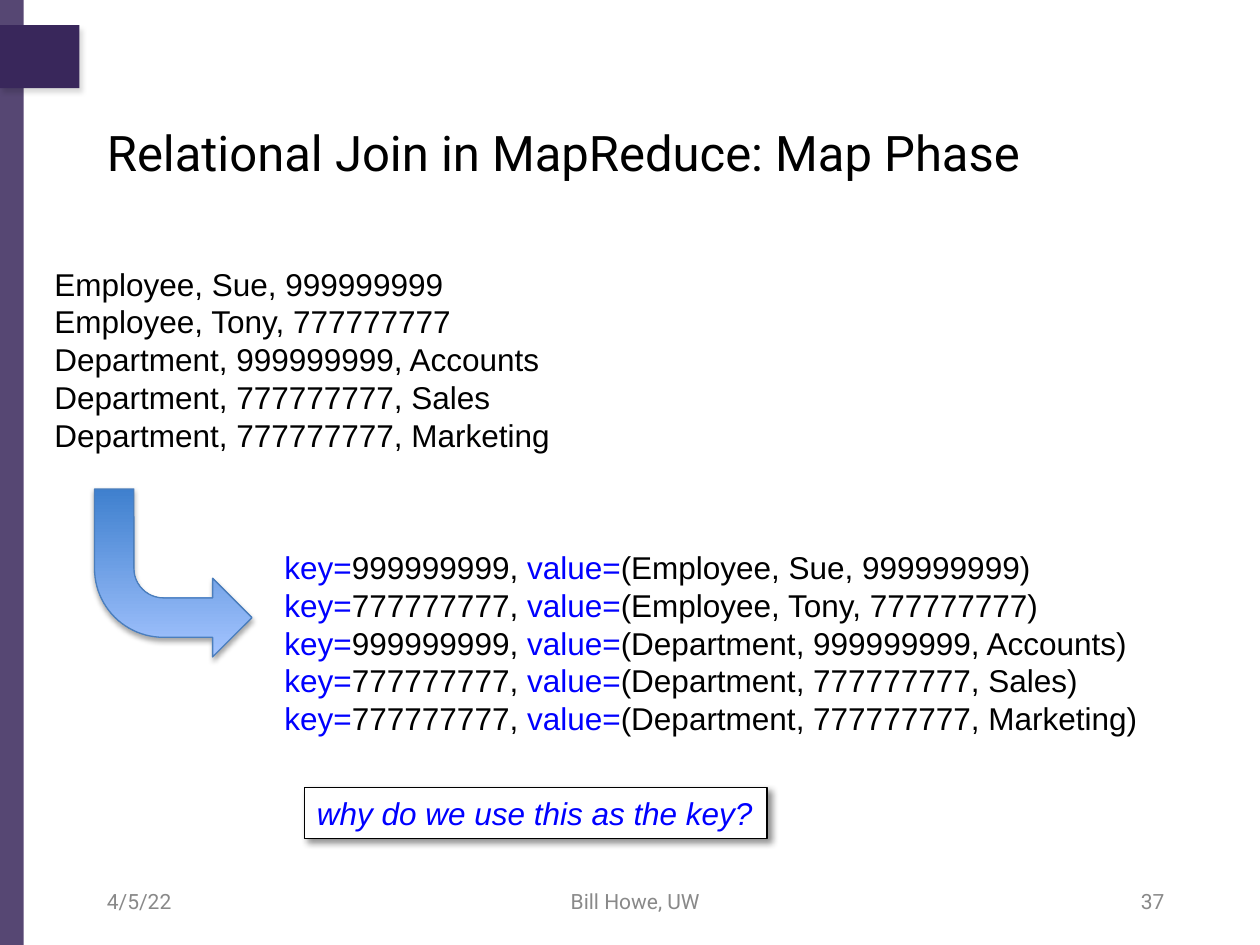
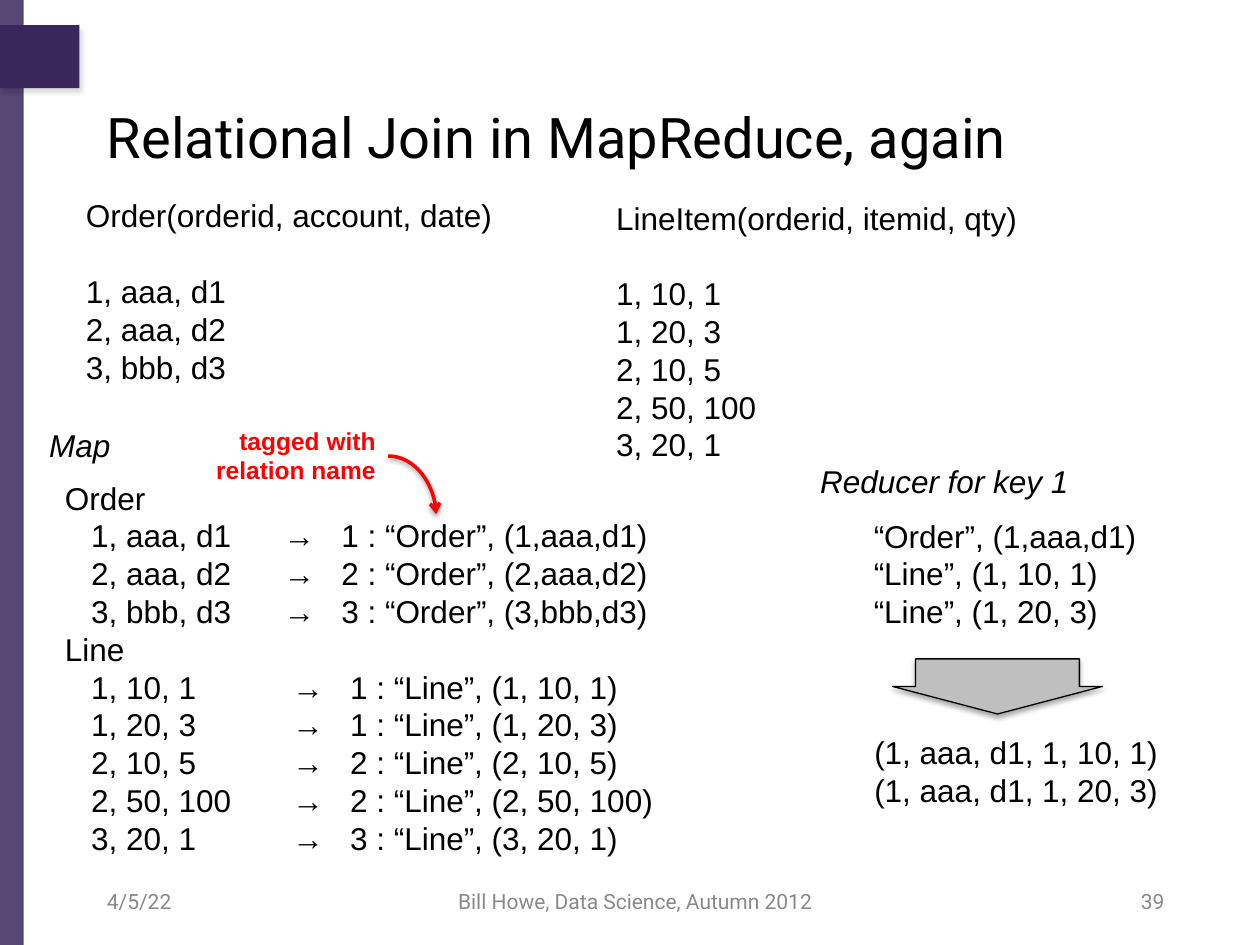
from lxml.etree import SubElement as Sub
from pptx import Presentation
from pptx.dml.color import RGBColor as RGB
from pptx.enum.shapes import MSO_CONNECTOR as Conn, MSO_SHAPE as Geo
from pptx.enum.text import MSO_ANCHOR as Anchor, PP_ALIGN as Align
from pptx.oxml.ns import qn
from pptx.util import Pt

# Shared look
HUE = {"band": "39275B", "ink": "000000", "gray": "898989", "blue": "0000FF",
       "red": "FF0000", "paper": "FFFFFF", "steel": "BFBFBF",
       "deep": "3F80CE", "pale": "A4C4FF", "edge": "4B7EBC"}
SOFT = (35, 3.1, 1.8, 90)  # shadow: opacity, blur, distance, angle
SIDES = (Align.LEFT, Align.CENTER, Align.RIGHT)
FOOT_X = ((54, 168), (249, 228), (504.5, 168))

# Content
DATE = "4/5/22"
FACTS = ["Employee, Sue, 999999999", "Employee, Tony, 777777777",
         "Department, 999999999, Accounts", "Department, 777777777, Sales",
         "Department, 777777777, Marketing"]
ORDERS = ["1, aaa, d1", "2, aaa, d2", "3, bbb, d3"]
LINES = ["1, 10, 1", "1, 20, 3", "2, 10, 5", "2, 50, 100", "3, 20, 1"]
# Each group: tag, rows, separator in the value, tab stops
GROUPS = [("Order", ORDERS, ",", (15, 125, 158)),
          ("Line", LINES, ", ", (15, 130, 163))]
INPUT = ["“Order”, (1,aaa,d1)", "“Line”, (1, 10, 1)", "“Line”, (1, 20, 3)"]
OUTPUT = ["(1, aaa, d1, 1, 10, 1)", "(1, aaa, d1, 1, 20, 3)"]


def rgb(name):
    return RGB.from_string(HUE[name])


def shade(item, alpha, blur, dist, angle):
    """Give a shape or connector an outer shadow."""
    props = item._element.spPr
    for old in props.findall(qn("a:effectLst")):
        props.remove(old)
    cast = Sub(Sub(props, qn("a:effectLst")), qn("a:outerShdw"),
               blurRad=str(Pt(blur)), dist=str(Pt(dist)),
               dir=str(angle * 60000), algn="ctr", rotWithShape="0")
    tone = Sub(cast, qn("a:srgbClr"), val=HUE["ink"])
    Sub(tone, qn("a:alpha"), val=str(alpha * 1000))


def paint(item, fill=None, line=None, width=0.75, shadow=None):
    if fill:
        item.fill.solid()
        item.fill.fore_color.rgb = rgb(fill)
    if line:
        item.line.color.rgb = rgb(line)
        item.line.width = Pt(width)
    else:
        item.line.fill.background()
    if shadow:
        shade(item, *shadow)


def shape(slide, geo, box, **look):
    item = slide.shapes.add_shape(geo, *map(Pt, box))
    item.shadow.inherit = False
    paint(item, **look)
    return item


def text(slide, box, paras, font="Arial", size=18, color="ink", bold=False,
         italic=False, align=Align.LEFT, anchor=Anchor.TOP, wrap=True,
         skip=None, tabs=None):
    """Paragraphs are strings or lists of (text, color); skip leaves a line free."""
    item = slide.shapes.add_textbox(*map(Pt, box))
    frame = item.text_frame
    frame.word_wrap = wrap
    frame.vertical_anchor = anchor
    for n, para in enumerate(paras):
        p = frame.add_paragraph() if n else frame.paragraphs[0]
        p.alignment = align
        if font == "Arial":
            p.line_spacing = Pt(size * 1.2)
        if n == skip:
            p.space_before = Pt(size * 1.2)
        if tabs:
            stops = Sub(p._p.get_or_add_pPr(), qn("a:tabLst"))
            for stop in tabs[n]:
                Sub(stops, qn("a:tab"), pos=str(Pt(stop)), algn="l")
        for words, hue in [(para, color)] if isinstance(para, str) else para:
            run = p.add_run()
            run.text = words
            run.font.name = font
            run.font.size = Pt(size)
            run.font.bold = bold
            run.font.italic = italic
            run.font.color.rgb = rgb(hue)
    return item


def start(deck, title, box, size, credit, page):
    """Add a slide with its bands, title and footer."""
    slide = deck.slides.add_slide(deck.slide_layouts[6])
    band = shape(slide, Geo.RECTANGLE, (0, 0, 13.5, 540), fill="band")
    tone = band._element.spPr.find(qn("a:solidFill"))[0]
    Sub(tone, qn("a:alpha"), val="85000")
    shape(slide, Geo.RECTANGLE, (0, 14.4, 45.4, 36), fill="band",
          shadow=(15, 3, 3, 60))
    text(slide, box, [title], font="Roboto", size=size, anchor=Anchor.MIDDLE)
    for (x, w), words, side in zip(FOOT_X, (DATE, credit, page), SIDES):
        text(slide, (x, 500.5, w, 28.8), [words], font="Roboto", size=12,
             color="gray", align=side, anchor=Anchor.MIDDLE)
    return slide


def pair(fact):
    key = next(part for part in fact.split(", ") if part.isdigit())
    return [("key=", "blue"), (f"{key}, ", "ink"),
            ("value=", "blue"), (f"({fact})", "ink")]


def map_phase(deck):
    slide = start(deck, "Relational Join in MapReduce: Map Phase",
                  (54, 51, 666, 72), 28, "Bill Howe, UW", "37")
    text(slide, (24, 147.6, 306, 116.6), FACTS)
    text(slide, (155.5, 309.6, 528.5, 116.6), [pair(f) for f in FACTS])

    # Bent arrow from facts to pairs
    bend = shape(slide, Geo.BENT_ARROW, (54, 279.4, 90, 96), line="edge",
                 shadow=SOFT)
    bend._element.spPr.xfrm.set("flipV", "1")
    bend.fill.gradient()
    bend.fill.gradient_angle = 90
    for stop, hue in zip(bend.fill.gradient_stops, ("deep", "pale")):
        stop.color.rgb = rgb(hue)

    # Question
    ask = text(slide, (174, 450, 264.3, 29), ["why do we use this as the key?"],
               color="blue", italic=True)
    paint(ask, fill="paper", line="ink", shadow=(43, 4, 3, 45))


def join_again(deck):
    slide = start(deck, "Relational Join in MapReduce, again",
                  (54, 42, 618.5, 72), 32,
                  "Bill Howe, Data Science, Autumn 2012", "39")
    # Relations
    text(slide, (42, 108.7, 276, 116.6),
         ["Order(orderid, account, date)"] + ORDERS, skip=1)
    text(slide, (345, 110, 276, 160),
         ["LineItem(orderid, itemid, qty)"] + LINES, skip=1)

    # Note on the tag, with its curved arrow
    text(slide, (115.2, 239.8, 106.6, 41), ["tagged with relation name"],
         size=14, color="red", bold=True, align=Align.RIGHT)
    curve = slide.shapes.add_connector(
        Conn.CURVE, *map(Pt, (221.8, 260.6, 249.2, 293.8)))
    curve._element.spPr.find(qn("a:prstGeom")).set("prst", "curvedConnector2")
    paint(curve, line="red", width=2, shadow=(38, 3.1, 1.6, 90))
    Sub(curve.line._get_or_add_ln(), qn("a:tailEnd"), type="arrow")

    # Map side
    rows, tabs = [], []
    for tag, items, sep, stops in GROUPS:
        rows.append(tag)
        for row in items:
            value = row.replace(", ", sep)
            rows.append(f"\t{row}\t→\t{row[0]} : “{tag}”, ({value})")
        tabs += [stops] * (len(items) + 1)
    text(slide, (30, 270, 462, 247), rows, tabs=tabs)
    text(slide, (21, 239.8, 85.7, 30), ["Map"], italic=True)

    # Reduce side
    text(slide, (461.5, 260.6, 234, 29), ["Reducer for key 1"], italic=True)
    text(slide, (492.2, 291.6, 171.4, 72.7), INPUT, wrap=False)
    text(slide, (492.5, 415.4, 203, 51), OUTPUT)
    down = shape(slide, Geo.DOWN_ARROW, (510, 376.5, 120, 31.5), fill="steel",
                 line="ink", shadow=SOFT)
    down.adjustments[0] = 0.78
    down.adjustments[1] = 0.5


def main():
    deck = Presentation()
    deck.slide_width, deck.slide_height = Pt(720), Pt(540)
    map_phase(deck)
    join_again(deck)
    deck.save("out.pptx")


if __name__ == "__main__":
    main()
